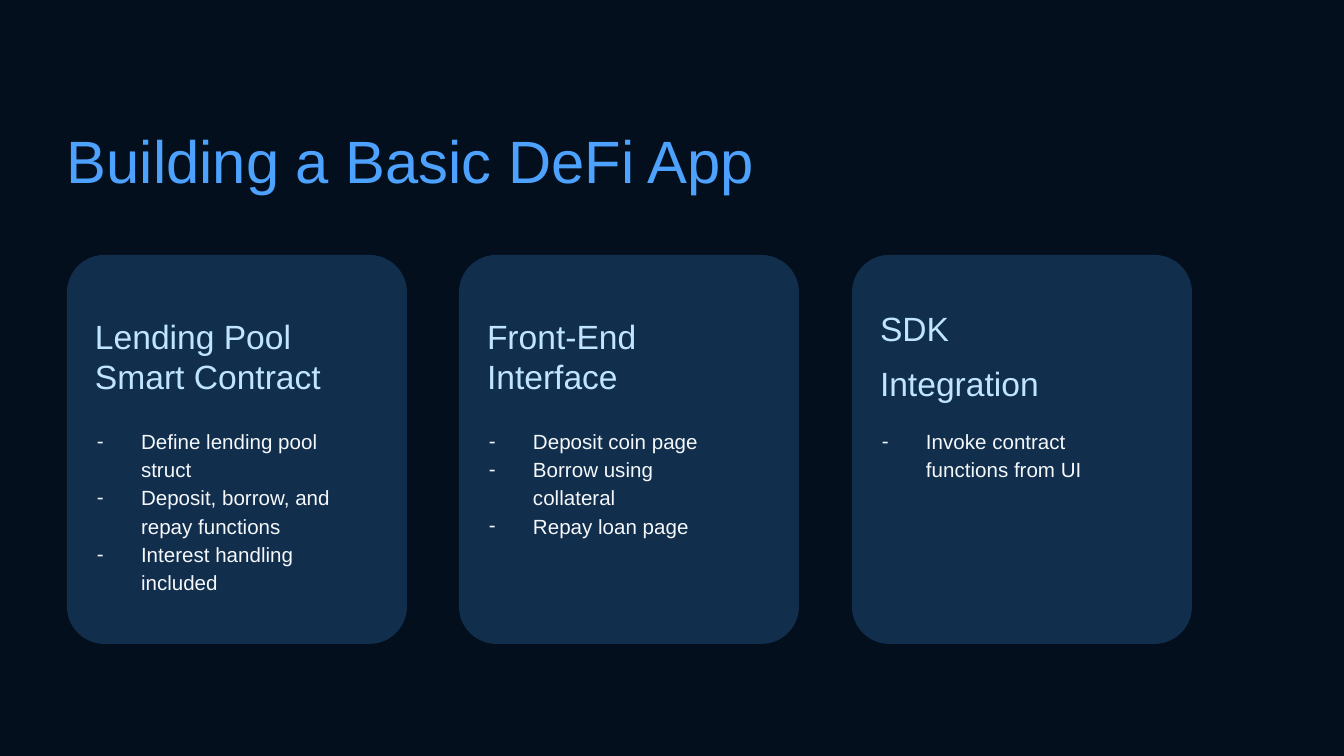
"""Build the slide on the three parts of a basic DeFi app."""
from lxml.etree import SubElement
from pptx import Presentation
from pptx.dml.color import RGBColor
from pptx.enum.shapes import MSO_SHAPE as Shape
from pptx.enum.text import MSO_ANCHOR as Anchor, PP_ALIGN as Align
from pptx.oxml.ns import qn
from pptx.util import Emu, Pt

TITLE = "Building a Basic DeFi App"
CARDS = [
    {"heading": ["Lending Pool Smart Contract"],
     "items": ["Define lending pool struct", "Deposit, borrow, and repay functions",
               "Interest handling included"]},
    {"heading": ["Front-End Interface"],
     "items": ["Deposit coin page", "Borrow using collateral", "Repay loan page"]},
    {"heading": ["SDK", "Integration"],
     "items": ["Invoke contract functions from UI"]},
]
BACKGROUND = RGBColor(0x03, 0x0F, 0x1C)
CARD_FILL = RGBColor(0x11, 0x2E, 0x4D)
TITLE_BLUE = RGBColor(0x4D, 0xA2, 0xFF)
HEADING_BLUE = RGBColor(0xC0, 0xE6, 0xFF)
ITEM_WHITE = RGBColor(0xF5, 0xF8, 0xFA)
LIST_SLOTS = (2, 4, 1)
UNUSED_SLOTS = (3, 10, 11, 12)
LEFT, CARD_TOP, CARD_W, CARD_H = 67, 255, 340, 389
LAST_LEFT = 852


def px(n):
    return Emu(round(n * 914400 / 134.4))


def place(sp, x, y, w, h):
    sp.left, sp.top, sp.width, sp.height = px(x), px(y), px(w), px(h)


def add_bullet(p):
    pPr = p._p.get_or_add_pPr()
    pPr.set("marL", str(px(67)))
    pPr.set("indent", str(px(-44)))
    color = SubElement(SubElement(pPr, qn("a:buClr")), qn("a:srgbClr"))
    color.set("val", str(ITEM_WHITE))
    SubElement(pPr, qn("a:buFont")).set("typeface", "Arial")
    SubElement(pPr, qn("a:buChar")).set("char", "-")


def write(sp, lines, size, color, anchor=Anchor.TOP, right=13, spacing=1.0,
          gap=0, after=0, bullet=False):
    tf = sp.text_frame
    tf.word_wrap = True
    tf.vertical_anchor = anchor
    tf.margin_left = tf.margin_top = tf.margin_bottom = 0
    tf.margin_right = px(right)
    for i, line in enumerate(lines):
        p = tf.add_paragraph() if i else tf.paragraphs[0]
        p.alignment = Align.LEFT
        p.line_spacing = spacing
        p.space_before = Pt(gap if i else 0)
        p.space_after = Pt(after if i == len(lines) - 1 else 0)
        if bullet:
            add_bullet(p)
        r = p.add_run()
        r.text = line
        r.font.name, r.font.size, r.font.bold = "Arial", Pt(size), False
        r.font.color.rgb = color


def add_card(s, x, card, body):
    box = s.shapes.add_shape(Shape.ROUNDED_RECTANGLE, 0, 0, 0, 0)
    place(box, x, CARD_TOP, CARD_W, CARD_H)
    box.adjustments[0] = 0.11
    box.shadow.inherit = False
    box.fill.solid()
    box.fill.fore_color.rgb = CARD_FILL
    box.line.fill.background()

    heading = s.shapes.add_textbox(0, 0, 0, 0)
    place(heading, x + 28, 316, 257, 87)
    write(heading, card["heading"], 18, HEADING_BLUE, gap=12, after=12,
          spacing=0.8 if len(card["heading"]) > 1 else 1.0)

    place(body, x + 7, 425, 278, 175)
    write(body, card["items"], 11, ITEM_WHITE, spacing=1.15, bullet=True)
    s.shapes.element.append(body.element)


def main():
    prs = Presentation()
    prs.slide_width, prs.slide_height = px(1344), px(756)
    s = prs.slides.add_slide(prs.slide_layouts[4])
    s.background.fill.solid()
    s.background.fill.fore_color.rgb = BACKGROUND
    slots = {sp.placeholder_format.idx: sp for sp in s.placeholders}

    place(slots[0], LEFT, 112, 888, 83)
    write(slots[0], [TITLE], 32, TITLE_BLUE, anchor=Anchor.BOTTOM, right=0)
    for i, card in enumerate(CARDS):
        x = LEFT + (LAST_LEFT - LEFT) * i // (len(CARDS) - 1)
        add_card(s, x, card, slots[LIST_SLOTS[i]])
    for idx in UNUSED_SLOTS:
        if idx in slots:
            s.shapes.element.remove(slots[idx].element)
    prs.save("out.pptx")


if __name__ == "__main__":
    main()
